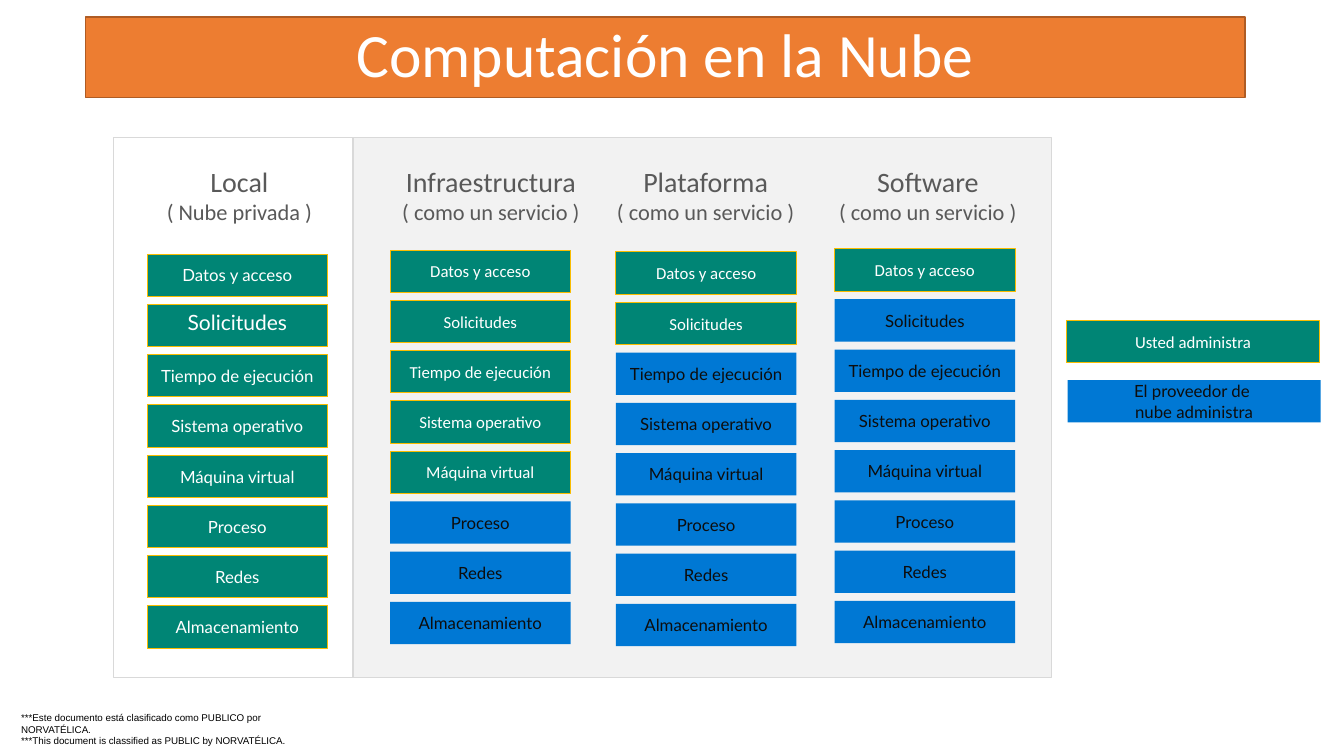
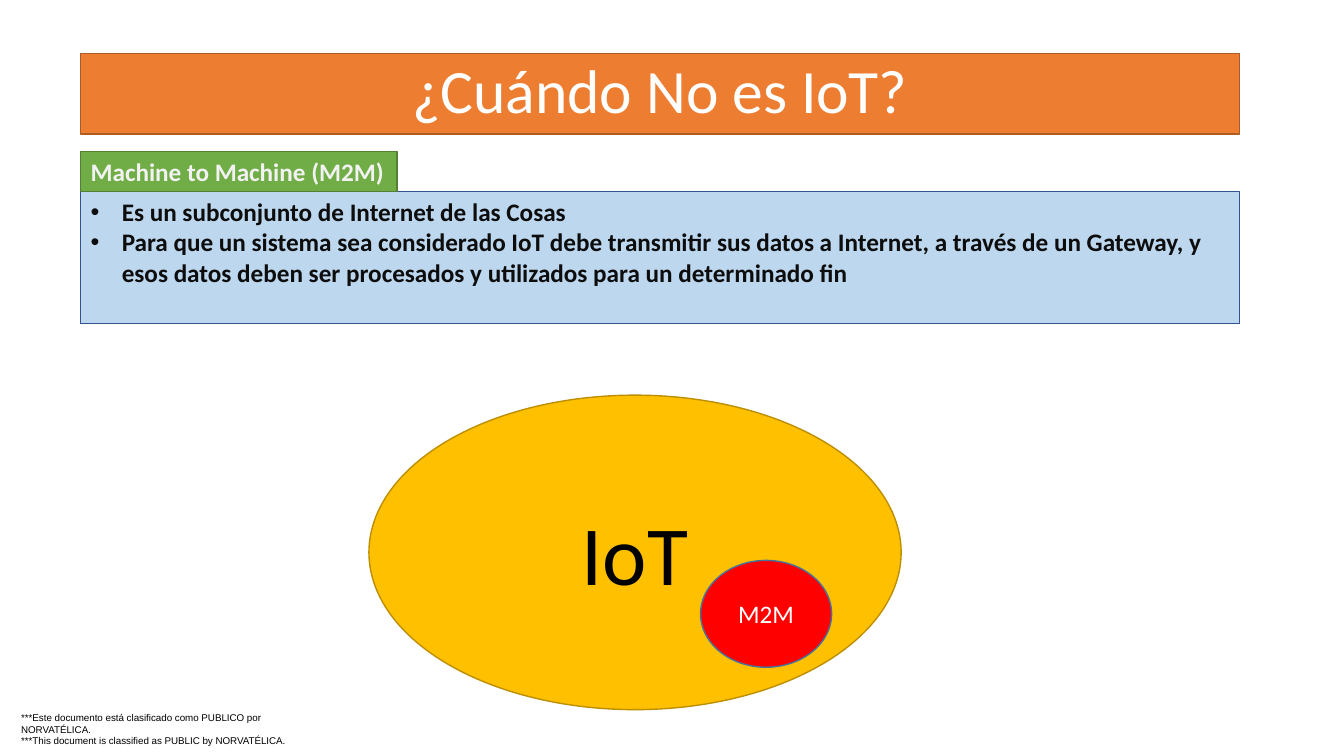
"""Build two slides on cloud service models and the limits of IoT."""
from itertools import cycle

from lxml import etree
from pptx import Presentation
from pptx.dml.color import RGBColor
from pptx.enum.shapes import MSO_SHAPE
from pptx.enum.text import MSO_ANCHOR, PP_ALIGN
from pptx.oxml.ns import qn
from pptx.util import Inches, Pt

RECTANGLE, ELLIPSE = MSO_SHAPE.RECTANGLE, MSO_SHAPE.OVAL
TOP, MIDDLE = MSO_ANCHOR.TOP, MSO_ANCHOR.MIDDLE
LEFT, CENTER = PP_ALIGN.LEFT, PP_ALIGN.CENTER

SLIDE_WIDTH, SLIDE_HEIGHT = Inches(13.333), Inches(7.5)
BLANK_LAYOUT = 6

WHITE = RGBColor(0xFF, 0xFF, 0xFF)
BLACK = RGBColor(0x00, 0x00, 0x00)
INK = RGBColor(0x0D, 0x0D, 0x0D)
HEADING_GRAY = RGBColor(0x59, 0x59, 0x59)
PANEL_GRAY = RGBColor(0xF2, 0xF2, 0xF2)
BORDER_GRAY = RGBColor(0xD9, 0xD9, 0xD9)
ORANGE = RGBColor(0xED, 0x7D, 0x31)
DARK_ORANGE = RGBColor(0xAF, 0x5C, 0x24)
TEAL = RGBColor(0x00, 0x85, 0x75)
AMBER = RGBColor(0xF9, 0xBC, 0x00)
BLUE = RGBColor(0x00, 0x78, 0xD4)
LIGHT_BLUE = RGBColor(0xBD, 0xD7, 0xEE)
NAVY = RGBColor(0x32, 0x54, 0x91)
GREEN = RGBColor(0x70, 0xAD, 0x47)
DARK_GREEN = RGBColor(0x53, 0x80, 0x35)
GOLD = RGBColor(0xFF, 0xC0, 0x00)
DARK_GOLD = RGBColor(0xBD, 0x8E, 0x00)
RED = RGBColor(0xFF, 0x00, 0x00)
STEEL = RGBColor(0x43, 0x73, 0x9E)

FOOTER = ("***Este documento está clasificado como PUBLICO por NORVATÉLICA.\v"
          "***This document is classified as PUBLIC by NORVATÉLICA.")
LAYERS = ("Datos y acceso", "Solicitudes", "Tiempo de ejecución", "Sistema operativo",
          "Máquina virtual", "Proceso", "Redes", "Almacenamiento")
AS_A_SERVICE = "( como un servicio )"
MODELS = (
    ("Local", "( Nube privada )", 10.2, 15.23, 10.95, 33.6, 8),
    ("Infraestructura", AS_A_SERVICE, 27.9, 17.25, 29.03, 33.07, 5),
    ("Plataforma", AS_A_SERVICE, 44.33, 16.35, 45.83, 33.33, 2),
    ("Software", AS_A_SERVICE, 60.75, 16.58, 62.1, 32.93, 1),
)
BLOCK_WIDTH, BLOCK_HEIGHT, BLOCK_PITCH = 13.43, 5.6, 6.65
PANEL_TOP, PANEL_HEIGHT = 18.13, 71.47
BAND_WIDTH, BAND_HEIGHT = 86.25, 10.67


def place(left, top, width, height):
    """Turn percentages of the slide's size into lengths."""
    return (int(SLIDE_WIDTH * left / 100), int(SLIDE_HEIGHT * top / 100),
            int(SLIDE_WIDTH * width / 100), int(SLIDE_HEIGHT * height / 100))


def add_bullet(paragraph):
    """Give a paragraph a round bullet with a hanging indent."""
    properties = paragraph._p.get_or_add_pPr()
    properties.set("marL", str(Inches(0.31)))
    properties.set("indent", str(-Inches(0.31)))
    etree.SubElement(properties, qn("a:buFont"), typeface="Arial")
    etree.SubElement(properties, qn("a:buChar"), char="•")


def write(shape, text, sizes=(12,), font="Calibri", color=WHITE, bold=False, align=CENTER,
          anchor=MIDDLE, side_inset=0.1, edge_inset=0.05, wrap=True, bullets=False, spacing=None):
    """Fill a shape with paragraphs split at newlines and lines split at vertical tabs."""
    frame = shape.text_frame
    frame.word_wrap = wrap
    frame.vertical_anchor = anchor
    frame.margin_left = frame.margin_right = Inches(side_inset)
    frame.margin_top = frame.margin_bottom = Inches(edge_inset)
    for index, (content, size) in enumerate(zip(text.split("\n"), cycle(sizes))):
        paragraph = frame.add_paragraph() if index else frame.paragraphs[0]
        paragraph.alignment = align
        if spacing:
            paragraph.line_spacing = spacing
        if bullets:
            add_bullet(paragraph)
        for line_index, line in enumerate(content.split("\v")):
            if line_index:
                paragraph.add_line_break()
            run = paragraph.add_run()
            run.text = line
            run.font.name = font
            run.font.size = Pt(size)
            run.font.bold = bold
            run.font.color.rgb = color


def add_box(slide, box, fill=None, line=None, line_width=1, kind=RECTANGLE):
    """Add a flat preset shape."""
    shape = slide.shapes.add_shape(kind, *place(*box))
    shape.shadow.inherit = False
    if fill is None:
        shape.fill.background()
    else:
        shape.fill.solid()
        shape.fill.fore_color.rgb = fill
    if line is None:
        shape.line.fill.background()
    else:
        shape.line.color.rgb = line
        shape.line.width = Pt(line_width)
    return shape


def add_text(slide, box, text, **text_format):
    """Add a text box."""
    write(slide.shapes.add_textbox(*place(*box)), text, **text_format)


def start_slide(presentation, title, left, top):
    """Add a slide with the shared footer and title band."""
    slide = presentation.slides.add_slide(presentation.slide_layouts[BLANK_LAYOUT])
    add_text(slide, (1.57, 94.13, 23.2, 3.1), FOOTER, sizes=(7,), font="Arial", color=BLACK,
             align=LEFT, anchor=TOP, side_inset=0, edge_inset=0)
    band = add_box(slide, (left, top, BAND_WIDTH, BAND_HEIGHT), ORANGE, DARK_ORANGE)
    write(band, title, sizes=(44,), spacing=0.9)
    return slide


def add_block(slide, box, text, own, **text_format):
    """Add a block coloured by who manages it: the user or the provider."""
    block = add_box(slide, box, TEAL if own else BLUE, AMBER if own else None, 0.75)
    style = {"font": "Calibri" if own else "Lato", "color": WHITE if own else INK,
             "side_inset": 0}
    write(block, text, **{**style, **text_format})


def add_model(slide, name, subtitle, heading_left, heading_width, left, top, own_count):
    """Add one service model: its heading and its column of layers."""
    add_text(slide, (heading_left, 21.73, heading_width, 9.33), f"{name}\n{subtitle}",
             sizes=(20, 16), color=HEADING_GRAY, anchor=TOP, side_inset=0, edge_inset=0)
    fully_owned = own_count == len(LAYERS)
    for row, layer in enumerate(LAYERS):
        text_format = {"font": "Lato"} if fully_owned else {}
        if fully_owned and layer == "Solicitudes":
            text_format.update(sizes=(15,), anchor=TOP)
        box = (left, top + row * BLOCK_PITCH, BLOCK_WIDTH, BLOCK_HEIGHT)
        add_block(slide, box, layer, row < own_count, **text_format)


def build_cloud_slide(presentation):
    """Compare who manages each layer in four service models."""
    slide = start_slide(presentation, "Computación en la Nube", 6.38, 2.27)
    add_box(slide, (26.25, PANEL_TOP, 51.98, PANEL_HEIGHT), PANEL_GRAY, BORDER_GRAY, 0.75)
    for model in MODELS:
        add_model(slide, *model)
    add_box(slide, (8.48, PANEL_TOP, 17.85, PANEL_HEIGHT), line=BORDER_GRAY, line_width=0.75)
    add_block(slide, (79.43, 50.27, 18.83, BLOCK_HEIGHT), "El proveedor de \vnube administra",
              False)
    add_block(slide, (79.35, 42.4, 18.83, BLOCK_HEIGHT), "Usted administra", True)


def build_iot_slide(presentation):
    """Show M2M as a subset of IoT."""
    slide = start_slide(presentation, "¿Cuándo No es IoT?", 6, 7.07)
    description = add_box(slide, (6, 25.33, BAND_WIDTH, 17.47), LIGHT_BLUE, NAVY)
    write(description,
          "Es un subconjunto de Internet de las Cosas\n"
          "Para que un sistema sea considerado IoT debe transmitir sus datos a Internet, "
          "a través de un Gateway, y esos datos deben ser procesados y utilizados para un "
          "determinado fin",
          sizes=(18,), color=INK, bold=True, align=LEFT, anchor=TOP, bullets=True)
    label = add_box(slide, (6, 20, 23.55, 5.33), GREEN, DARK_GREEN)
    write(label, "Machine to Machine (M2M)", sizes=(18,), color=PANEL_GRAY, bold=True,
          align=LEFT, anchor=TOP, wrap=False)
    iot = add_box(slide, (27.45, 52.27, 39.6, 41.6), GOLD, DARK_GOLD, kind=ELLIPSE)
    write(iot, "IoT", sizes=(60,), color=BLACK)
    m2m = add_box(slide, (52.13, 74.13, 9.75, 14.13), RED, STEEL, kind=ELLIPSE)
    write(m2m, "M2M", sizes=(18,))


def main():
    """Build and save the presentation."""
    presentation = Presentation()
    presentation.slide_width, presentation.slide_height = SLIDE_WIDTH, SLIDE_HEIGHT
    build_cloud_slide(presentation)
    build_iot_slide(presentation)
    presentation.save("out.pptx")


if __name__ == "__main__":
    main()
